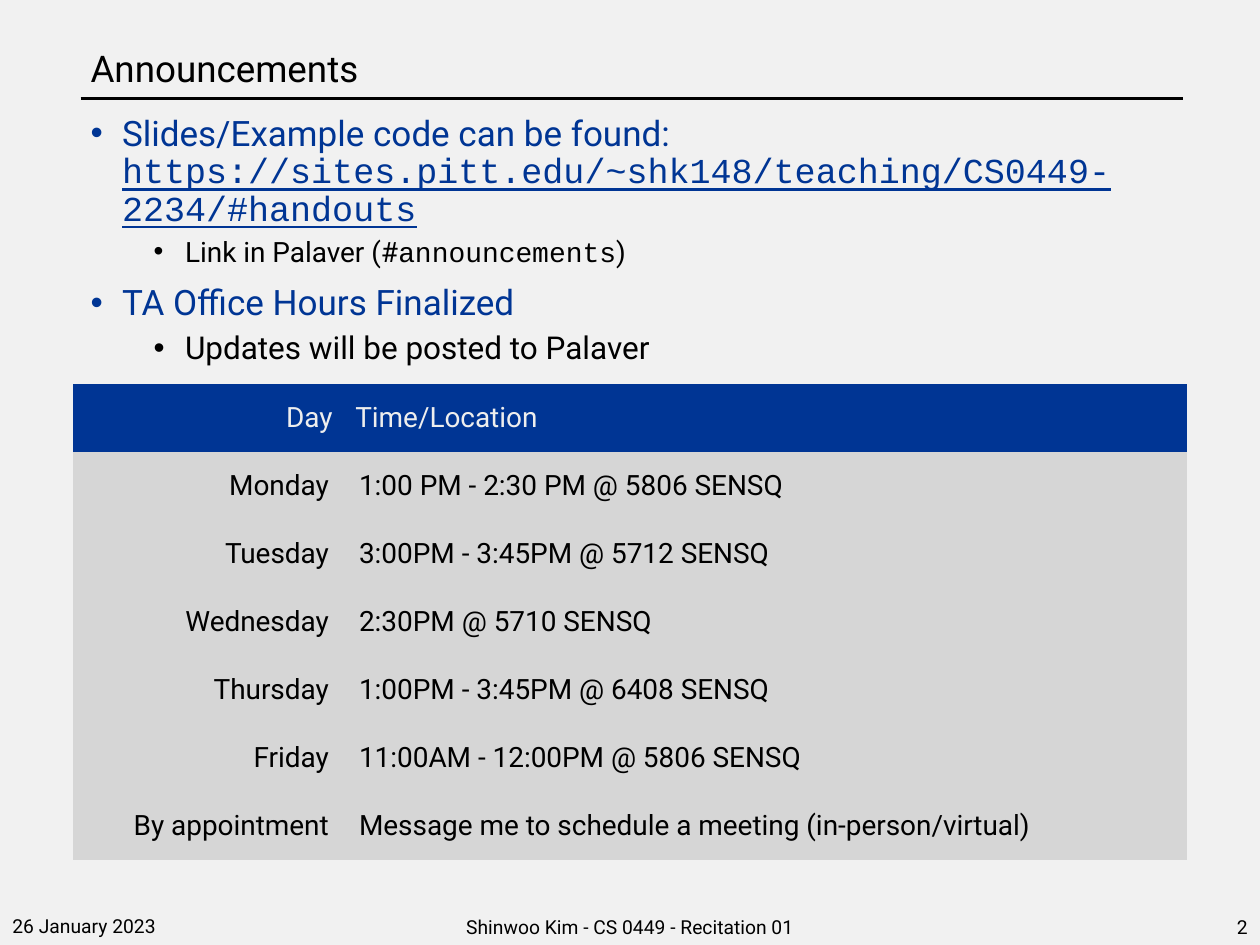
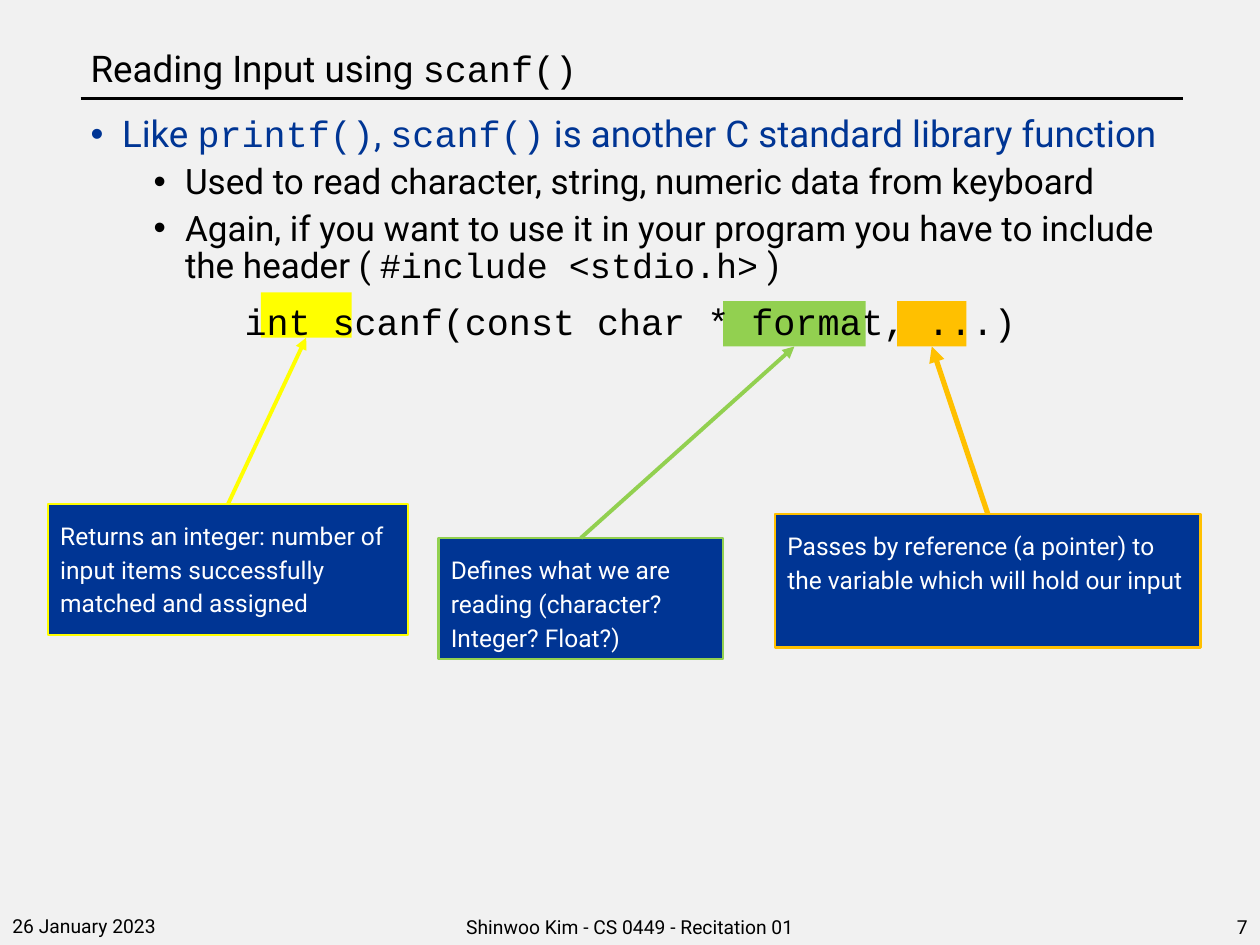
from lxml.etree import SubElement
from pptx import Presentation
from pptx.dml.color import RGBColor
from pptx.enum.shapes import MSO_CONNECTOR, MSO_SHAPE
from pptx.enum.text import MSO_ANCHOR, PP_ALIGN
from pptx.oxml.ns import qn
from pptx.util import Pt

COLOURS = {
    "paper": "F1F1F1", "ink": "000000", "blue": "003594", "white": "FFFFFF",
    "header": "EEEEEE", "row": "D6D6D6",
    "yellow": "FFFF00", "green": "92D050", "orange": "FFC000",
}
TEXT_FONT = "Roboto"
CODE_FONT = "Courier New"
NO_STYLE_NO_GRID = "{2D5ABB26-0587-4C30-8999-92F81FD0307C}"
BODY_LEFT, BODY_WIDTH = 44.64, 631.2

OFFICE_HOURS = [
    ("Day", "Time/Location"),
    ("Monday", "1:00 PM - 2:30 PM @ 5806 SENSQ"),
    ("Tuesday", "3:00PM - 3:45PM @ 5712 SENSQ"),
    ("Wednesday", "2:30PM @ 5710 SENSQ"),
    ("Thursday", "1:00PM - 3:45PM @ 6408 SENSQ"),
    ("Friday", "11:00AM - 12:00PM @ 5806 SENSQ"),
    ("By appointment", "Message me to schedule a meeting (in-person/virtual)"),
]

# Each item: level (None for a centred line without bullet), size, text.
ANNOUNCEMENTS = [
    (0, 20, "Slides/Example code can be found: "
            "`https://sites.pitt.edu/~shk148/teaching/CS0449-2234/#handouts`"),
    (1, 16, "Link in Palaver (#`announcements`)"),
    (0, 20, "TA Office Hours Finalized"),
    (1, 18, "Updates will be posted to Palaver"),
]
SCANF_POINTS = [
    (0, 21, "Like `printf()`, `scanf()` is another C standard library function"),
    (1, 20, "Used to read character, string, numeric data from keyboard"),
    (1, 20, "Again, if you want to use it in your program you have to include "
            "the header ( `#include <stdio.h>` )"),
    (None, 21, "`int scanf(const char * format, ...)`"),
]

# Each item: colour, highlight frame, callout frame, arrow width, text.
CALLOUTS = [
    ("yellow", (149.04, 167.04, 51.84, 25.92), (27.36, 288, 205.92, 74.88), 2.25,
     "Returns an integer: number of input items successfully matched and assigned"),
    ("green", (413.28, 172.08, 81.36, 25.92), (250.56, 307.44, 162.72, 69.12), 2.25,
     "Defines what we are reading (character? Integer? Float?)"),
    ("orange", (512.64, 172.08, 39.6, 25.92), (442.8, 293.76, 243.36, 76.32), 3,
     "Passes by reference (a pointer) to the variable which will hold our input"),
]


def colour(name):
    """Return the named colour."""
    return RGBColor.from_string(COLOURS[name])


def points(lengths):
    """Convert numbers to point lengths."""
    return [Pt(length) for length in lengths]


def write(para, text, size, ink):
    """Fill a paragraph, setting the parts between backticks as code."""
    for index, part in enumerate(text.split("`")):
        if not part:
            continue
        span = para.add_run()
        span.text = part
        span.font.size = Pt(size)
        span.font.name = CODE_FONT if index % 2 else TEXT_FONT
        span.font.color.rgb = colour(ink)
        if part.startswith("https:"):
            span.font.underline = True


def add_text_box(page, frame, anchor=MSO_ANCHOR.TOP):
    """Add a wrapping text box and return its text frame."""
    text_frame = page.shapes.add_textbox(*points(frame)).text_frame
    text_frame.word_wrap = True
    text_frame.vertical_anchor = anchor
    return text_frame


def add_label(page, frame, text, size, align=PP_ALIGN.LEFT):
    """Add one bottom-anchored line of text."""
    para = add_text_box(page, frame, MSO_ANCHOR.BOTTOM).paragraphs[0]
    para.alignment = align
    write(para, text, size, "ink")
    return para


def set_bullet(para, level):
    """Give a paragraph its level, hanging indent and bullet."""
    para.level = level
    properties = para._p.get_or_add_pPr()
    properties.set("marL", str(Pt(18 + 36 * level)))
    properties.set("indent", str(Pt(-18)))
    SubElement(properties, qn("a:buFont"), typeface="Arial")
    SubElement(properties, qn("a:buChar"), char="•")


def add_body(page, items):
    """Add the bulleted body text."""
    text_frame = add_text_box(page, (BODY_LEFT, 62.64, BODY_WIDTH, 421.2))
    for index, (level, size, text) in enumerate(items):
        para = text_frame.add_paragraph() if index else text_frame.paragraphs[0]
        if level is None:
            para.alignment = PP_ALIGN.CENTER
        else:
            set_bullet(para, level)
        para.line_spacing = 0.9
        if index:
            para.space_before = Pt(5 if level == 1 else 10)
        write(para, text, size, "blue" if level == 0 else "ink")


def add_line(page, start, end, ink, width):
    """Add a straight line without shadow."""
    line = page.shapes.add_connector(MSO_CONNECTOR.STRAIGHT, *points(start + end))
    line.line.color.rgb = colour(ink)
    line.line.width = Pt(width)
    SubElement(line._element.spPr, qn("a:effectLst"))
    return line


def add_arrow(page, source, target, ink, width):
    """Add an arrow from the top of one box to the bottom of another."""
    arrow = add_line(page, (0, 0), (0, 0), ink, width)
    arrow.begin_connect(source, 0)
    arrow.end_connect(target, 2)
    SubElement(arrow.line._get_or_add_ln(), qn("a:tailEnd"), type="triangle")


def add_box(page, frame, fill, outline=None):
    """Add a filled rectangle, outlined if a colour is given."""
    box = page.shapes.add_shape(MSO_SHAPE.RECTANGLE, *points(frame))
    box.shadow.inherit = False
    box.fill.solid()
    box.fill.fore_color.rgb = colour(fill)
    if outline:
        box.line.color.rgb = colour(outline)
        box.line.width = Pt(1.5)
    else:
        box.line.fill.background()
    return box


def add_callout(page, frame, text, outline):
    """Add a blue explanation box."""
    box = add_box(page, frame, "blue", outline)
    text_frame = box.text_frame
    text_frame.word_wrap = True
    text_frame.vertical_anchor = MSO_ANCHOR.TOP
    text_frame.margin_top = text_frame.margin_bottom = Pt(7.2)
    para = text_frame.paragraphs[0]
    para.alignment = PP_ALIGN.LEFT
    para.line_spacing = 1.15
    write(para, text, 14, "white")
    return box


def add_hours_table(page, rows):
    """Add the table of office hours."""
    row_height, column_widths = 38.88, (154.8, 481.68)
    frame = points((41.76, 219.6, sum(column_widths), row_height * len(rows)))
    table = page.shapes.add_table(len(rows), len(column_widths), *frame).table
    table.first_row = table.horz_banding = False
    table._tbl.tblPr.find(qn("a:tableStyleId")).text = NO_STYLE_NO_GRID
    for column, width in zip(table.columns, column_widths):
        column.width = Pt(width)
    for row_index, row in enumerate(rows):
        table.rows[row_index].height = Pt(row_height)
        fill, ink, side, edge = (("row", "ink", 8.64, 4.32) if row_index
                                 else ("blue", "header", 6.48, 3.6))
        for column_index, text in enumerate(row):
            cell = table.cell(row_index, column_index)
            cell.fill.solid()
            cell.fill.fore_color.rgb = colour(fill)
            cell.vertical_anchor = MSO_ANCHOR.MIDDLE
            cell.margin_left = cell.margin_right = Pt(side)
            cell.margin_top = cell.margin_bottom = Pt(edge)
            para = cell.text_frame.paragraphs[0]
            para.alignment = PP_ALIGN.LEFT if column_index else PP_ALIGN.RIGHT
            write(para, text, 16, ink)


def add_page(deck, title, number):
    """Add a page with background, title, rule and footer."""
    page = deck.slides.add_slide(deck.slide_layouts[6])
    page.background.fill.solid()
    page.background.fill.fore_color.rgb = colour("paper")
    add_line(page, (46.08, 56.16), (676.08, 56.16), "ink", 1.5)
    add_label(page, (BODY_LEFT, 2.16, BODY_WIDTH, 53.28), title, 21).line_spacing = 0.9
    add_label(page, (0, 510.48, 162, 28.8), "26 January 2023", 11)
    add_label(page, (238.32, 511.2, 243.36, 28.8),
              "Shinwoo Kim - CS 0449 - Recitation 01", 11, PP_ALIGN.CENTER)
    add_label(page, (558, 511.2, 162, 28.8), str(number), 11, PP_ALIGN.RIGHT)
    return page


def main():
    """Build and save the deck."""
    deck = Presentation()
    deck.slide_width, deck.slide_height = Pt(720), Pt(540)

    announcements = add_page(deck, "Announcements", 2)
    add_body(announcements, ANNOUNCEMENTS)
    add_hours_table(announcements, OFFICE_HOURS)

    scanf = add_page(deck, "Reading Input using `scanf()`", 7)
    for ink, highlight_frame, callout_frame, width, text in CALLOUTS:
        highlight = add_box(scanf, highlight_frame, ink)
        callout = add_callout(scanf, callout_frame, text, ink)
        add_arrow(scanf, callout, highlight, ink, width)
    add_body(scanf, SCANF_POINTS)

    deck.save("out.pptx")


if __name__ == "__main__":
    main()
